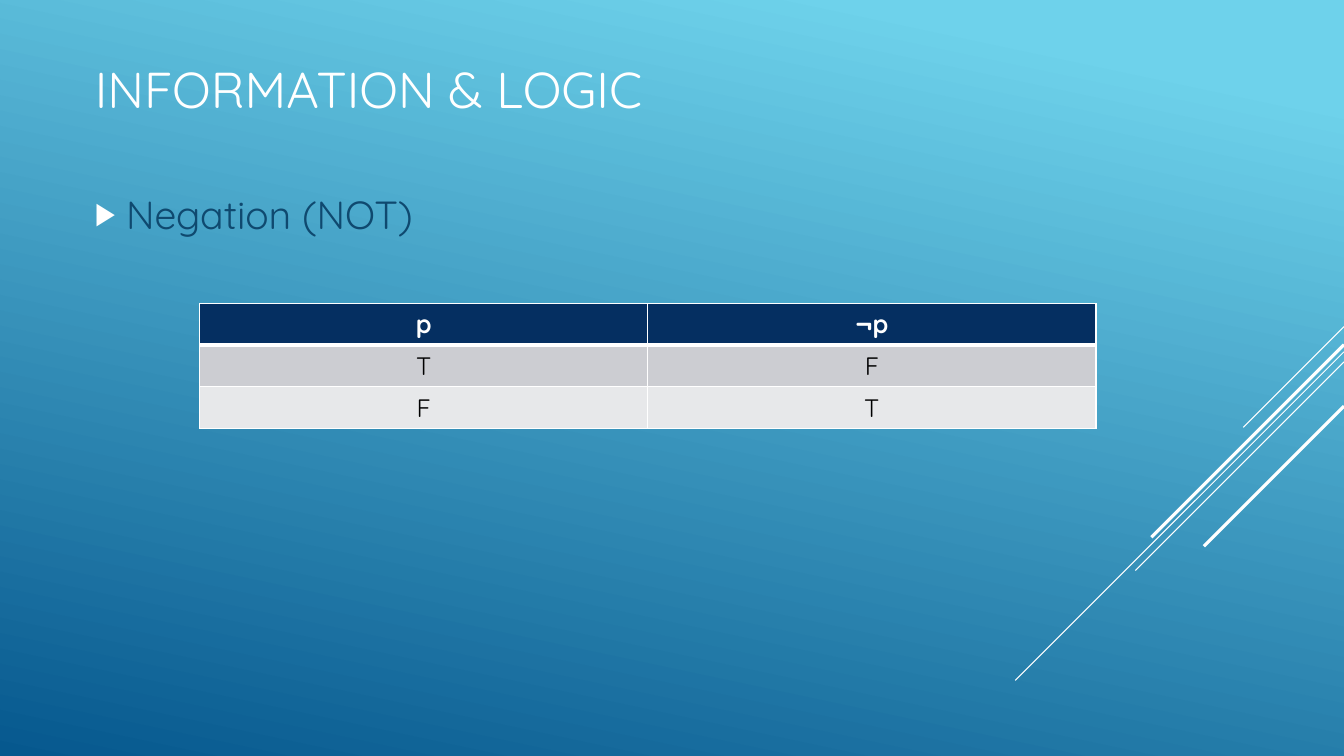
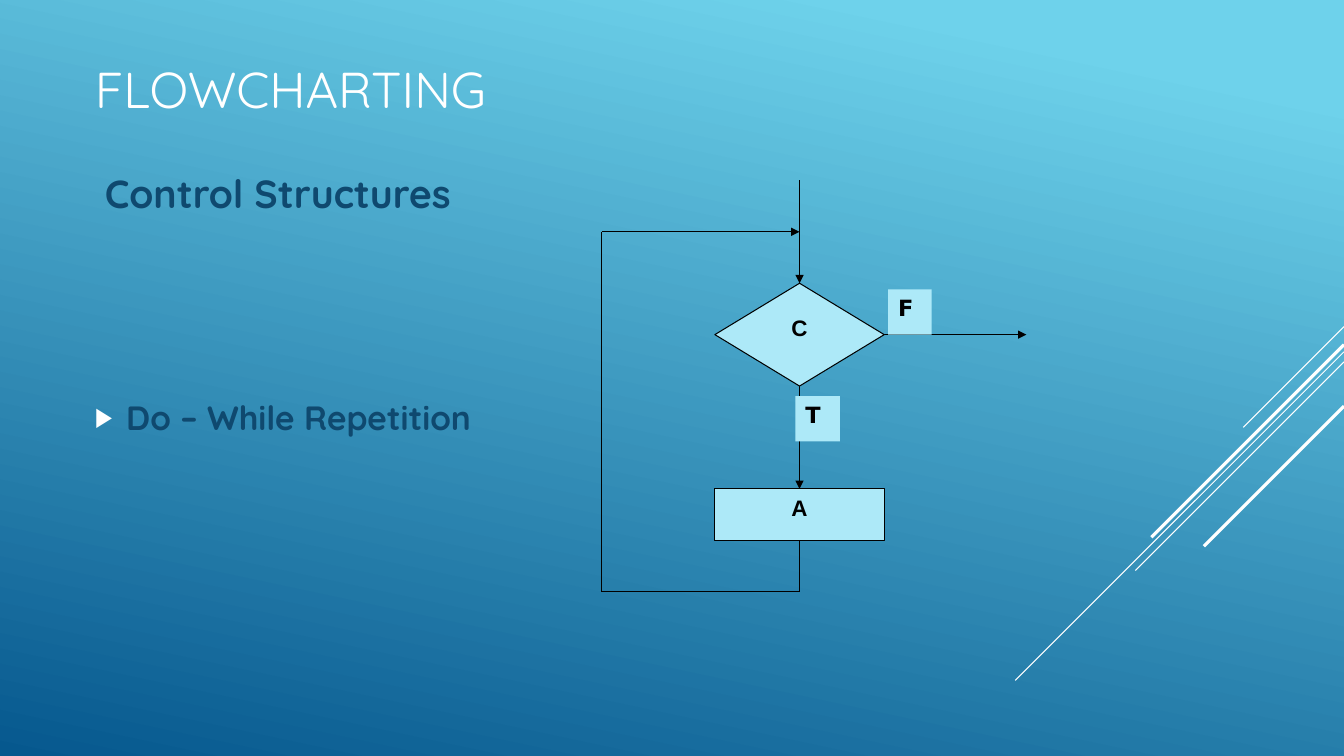
from dataclasses import dataclass

from lxml import etree
from pptx import Presentation
from pptx.dml.color import RGBColor
from pptx.enum.shapes import MSO_CONNECTOR, MSO_SHAPE
from pptx.enum.text import MSO_ANCHOR, MSO_AUTO_SIZE, PP_ALIGN
from pptx.oxml.ns import qn
from pptx.util import Inches, Pt

STRAIGHT = MSO_CONNECTOR.STRAIGHT
DECISION = MSO_SHAPE.FLOWCHART_DECISION
RECTANGLE = MSO_SHAPE.RECTANGLE
TOP, MIDDLE = MSO_ANCHOR.TOP, MSO_ANCHOR.MIDDLE
LEFT, CENTER = PP_ALIGN.LEFT, PP_ALIGN.CENTER
NO_AUTOFIT = MSO_AUTO_SIZE.NONE

WHITE, BLACK = "FFFFFF", "000000"
SKY, DEEP_BLUE = "6ED2EB", "06588E"
BODY_BLUE, BOX_BLUE = "0F496F", "ADE9F8"
HEADER_FILL, ROW_FILLS = "052F61", ("CCCDD2", "E7E8EA")
FONT = "Quicksand"
SLIDE_WIDTH, SLIDE_HEIGHT = 13.33, 7.5
CONTENT_LEFT, CONTENT_WIDTH = 0.84, 9.33
BULLET_INDENT = 0.31


@dataclass(frozen=True)
class Line:
    x1: float
    y1: float
    x2: float
    y2: float
    color: str = BLACK
    weight: float = 0.75
    arrow: bool = False


@dataclass(frozen=True)
class Box:
    text: str
    left: float
    top: float
    width: float
    height: float
    preset: int = RECTANGLE
    outlined: bool = True
    font: str = "Arial"
    align: int = CENTER


@dataclass(frozen=True)
class BodyLine:
    text: str
    size: float
    bold: bool = False
    bullet: bool = True
    indent: float = 0
    space_before: float = 0


def diagonal(top: float, length: float, weight: float) -> Line:
    """Describe a 45 degree line running down and left from the right edge."""
    return Line(SLIDE_WIDTH, top, SLIDE_WIDTH - length, top + length, WHITE, weight)


DIAGONALS = (
    diagonal(3.24, 1.0, 0.75),
    diagonal(3.49, 3.26, 0.75),
    diagonal(3.59, 2.07, 0.75),
    diagonal(3.42, 1.91, 2.25),
    diagonal(4.03, 1.39, 2.25),
)


def rgb(color: str) -> RGBColor:
    return RGBColor.from_string(color)


def write_text(paragraph, text: str, *, size: float, color: str, font: str = FONT,
               bold: bool = False, align: int = LEFT) -> None:
    paragraph.alignment = align
    run = paragraph.add_run()
    run.text = text
    run.font.name = font
    run.font.size = Pt(size)
    run.font.bold = bold
    run.font.color.rgb = rgb(color)


def add_line(slide, line: Line):
    connector = slide.shapes.add_connector(
        STRAIGHT, Inches(line.x1), Inches(line.y1), Inches(line.x2), Inches(line.y2))
    connector.line.color.rgb = rgb(line.color)
    connector.line.width = Pt(line.weight)
    if line.arrow:
        etree.SubElement(connector.line._get_or_add_ln(), qn("a:tailEnd"), type="triangle")
    etree.SubElement(connector.element.spPr, qn("a:effectLst"))
    return connector


def add_box(slide, box: Box) -> None:
    shape = slide.shapes.add_shape(
        box.preset, Inches(box.left), Inches(box.top), Inches(box.width), Inches(box.height))
    shape.shadow.inherit = False
    shape.fill.solid()
    shape.fill.fore_color.rgb = rgb(BOX_BLUE)
    if box.outlined:
        shape.line.color.rgb = rgb(BLACK)
        shape.line.width = Pt(0.75)
    else:
        shape.line.fill.background()
    shape.text_frame.vertical_anchor = TOP
    write_text(shape.text_frame.paragraphs[0], box.text, size=16, color=BLACK,
               font=box.font, bold=True, align=box.align)


def style_layout(layout) -> None:
    """Give the layout its gradient background and title position."""
    fill = layout.background.fill
    fill.gradient()
    fill.gradient_angle = 360 - 102
    for stop, color, position in zip(fill.gradient_stops, (SKY, DEEP_BLUE), (0.1, 1.0)):
        stop.color.rgb = rgb(color)
        stop.position = position
    title = layout.placeholders[0]
    title.left, title.top = Inches(CONTENT_LEFT), Inches(0.51)
    title.width, title.height = Inches(CONTENT_WIDTH), Inches(0.74)
    title.text_frame.vertical_anchor = MIDDLE


def move_diagonals_to_layout(slide, layout) -> None:
    """Draw the diagonals on a slide, then hand them to its layout."""
    for shape_id, line in enumerate(DIAGONALS, start=100):
        element = add_line(slide, line).element
        element.xpath(".//p:cNvPr")[0].set("id", str(shape_id))
        layout.shapes.element.append(element)


def set_bullet(paragraph, body_line: BodyLine) -> None:
    properties = paragraph._p.get_or_add_pPr()
    if not body_line.bullet:
        properties.set("marL", str(Inches(body_line.indent)))
        properties.set("indent", "0")
        etree.SubElement(properties, qn("a:buNone"))
        return
    properties.set("marL", str(Inches(BULLET_INDENT)))
    properties.set("indent", str(-Inches(BULLET_INDENT)))
    color = etree.SubElement(properties, qn("a:buClr"))
    etree.SubElement(color, qn("a:srgbClr"), val=WHITE)
    etree.SubElement(properties, qn("a:buSzPct"), val="80000")
    etree.SubElement(properties, qn("a:buChar"), char="▶")


def add_slide(presentation, layout, title: str, body_top: float, body_height: float,
              body_lines: tuple[BodyLine, ...]):
    slide = presentation.slides.add_slide(layout)
    write_text(slide.shapes.title.text_frame.paragraphs[0], title, size=36, color=WHITE)
    body = slide.placeholders[1]
    body.left, body.top = Inches(CONTENT_LEFT), Inches(body_top)
    body.width, body.height = Inches(CONTENT_WIDTH), Inches(body_height)
    frame = body.text_frame
    frame.auto_size = NO_AUTOFIT
    frame.vertical_anchor = TOP
    for index, body_line in enumerate(body_lines):
        paragraph = frame.add_paragraph() if index else frame.paragraphs[0]
        paragraph.space_before = Pt(body_line.space_before)
        set_bullet(paragraph, body_line)
        write_text(paragraph, body_line.text, size=body_line.size, color=BODY_BLUE,
                   bold=body_line.bold)
    return slide


def set_cell_borders(cell, bottom: float) -> None:
    """Draw white borders, 1 point wide except at the bottom."""
    properties = cell._tc.get_or_add_tcPr()
    sides = (("a:lnL", 1), ("a:lnR", 1), ("a:lnT", 1), ("a:lnB", bottom))
    for index, (side, weight) in enumerate(sides):
        border = etree.Element(qn(side), w=str(Pt(weight)))
        fill = etree.SubElement(border, qn("a:solidFill"))
        etree.SubElement(fill, qn("a:srgbClr"), val=WHITE)
        properties.insert(index, border)


def add_truth_table(slide, rows: tuple[tuple[str, ...], ...]) -> None:
    row_height = 0.41
    table = slide.shapes.add_table(
        len(rows), len(rows[0]), Inches(1.98), Inches(3.01),
        Inches(8.89), Inches(row_height * len(rows))).table
    for row_index, row in enumerate(rows):
        header = row_index == 0
        fill = HEADER_FILL if header else ROW_FILLS[(row_index - 1) % 2]
        for column_index, text in enumerate(row):
            cell = table.cell(row_index, column_index)
            cell.fill.solid()
            cell.fill.fore_color.rgb = rgb(fill)
            set_cell_borders(cell, bottom=3 if header else 1)
            write_text(cell.text_frame.paragraphs[0], text, size=18, bold=header,
                       color=WHITE if header else BLACK, align=CENTER)


def add_loop_flowchart(slide) -> None:
    center, loop_left, exit_right = 7.93, 5.97, 10.18
    box_width, step = 1.68, 0.51
    box_left = center - box_width / 2
    (entry, join, decision_top, decision_middle, decision_bottom,
     _, action_top, action_bottom, loop_bottom) = (1.79 + step * n for n in range(9))

    for line in (
        Line(loop_left, join, loop_left, loop_bottom),
        Line(loop_left, join, center, join, arrow=True),
        Line(loop_left, loop_bottom, center, loop_bottom),
        Line(center, entry, center, decision_top, arrow=True),
        Line(box_left + box_width, decision_middle, exit_right, decision_middle, arrow=True),
        Line(center, decision_bottom, center, action_top, arrow=True),
        Line(center, action_bottom, center, loop_bottom),
    ):
        add_line(slide, line)

    label = {"outlined": False, "font": "DejaVu Sans", "align": LEFT}
    for box in (
        Box("C", box_left, decision_top, box_width, 2 * step, DECISION),
        Box("A", box_left, action_top, box_width, step),
        Box("F", 8.81, 2.87, 0.43, 0.45, **label),
        Box("T", 7.89, 3.93, 0.44, 0.45, **label),
    ):
        add_box(slide, box)


def main() -> None:
    presentation = Presentation()
    presentation.slide_width = Inches(SLIDE_WIDTH)
    presentation.slide_height = Inches(SLIDE_HEIGHT)
    layout = presentation.slide_layouts[1]
    style_layout(layout)

    logic = add_slide(presentation, layout, "INFORMATION & LOGIC", 1.84, 0.7,
                      (BodyLine("Negation (NOT)", 28),))
    move_diagonals_to_layout(logic, layout)
    add_truth_table(logic, (("p", "¬p"), ("T", "F"), ("F", "T")))

    flowcharting = add_slide(
        presentation, layout, "FLOWCHARTING", 1.63, 2.9,
        (BodyLine("Control Structures", 28, bold=True, bullet=False, indent=0.1),
         BodyLine("Do – While Repetition", 24, bold=True, space_before=129)))
    add_loop_flowchart(flowcharting)

    presentation.save("out.pptx")


if __name__ == "__main__":
    main()
